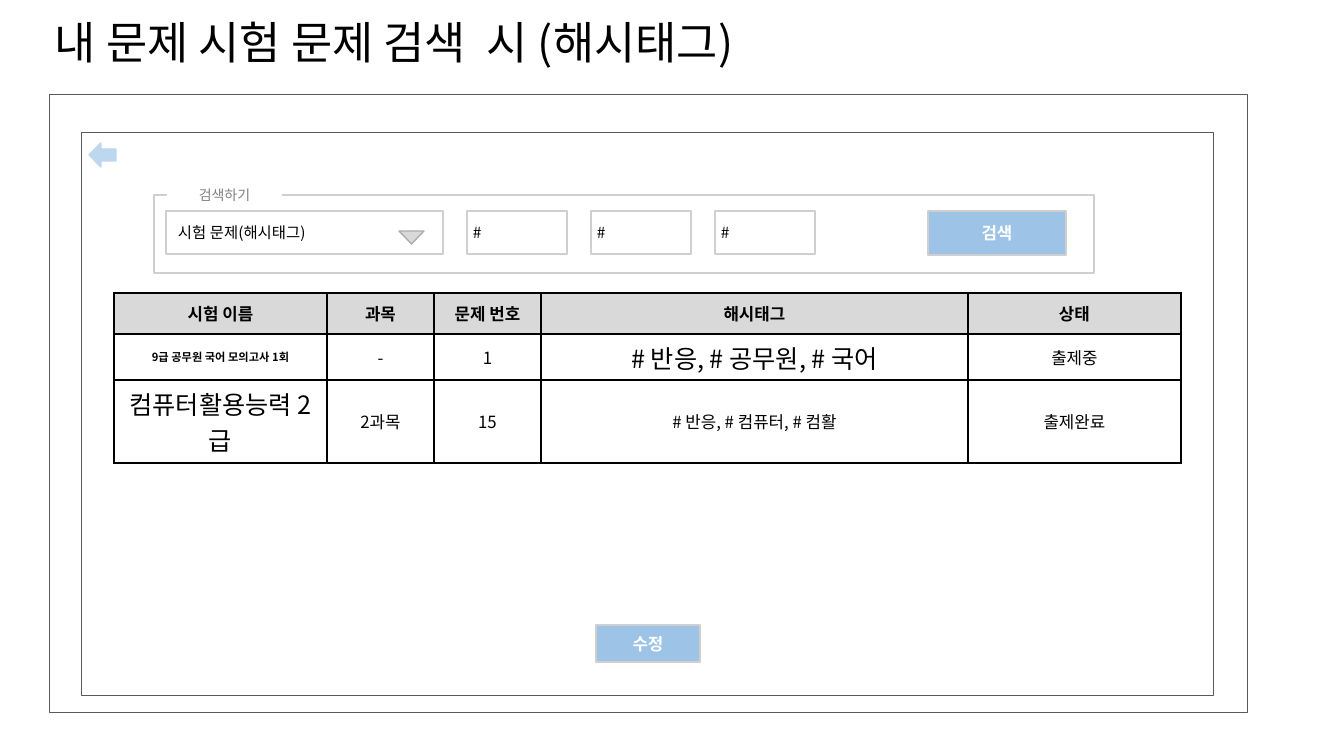
"""Build the hashtag search screen for exam questions."""
from lxml import etree
from pptx import Presentation
from pptx.dml.color import RGBColor
from pptx.enum.shapes import MSO_SHAPE
from pptx.enum.text import MSO_ANCHOR, PP_ALIGN
from pptx.oxml.ns import qn
from pptx.util import Pt

PX = 9071.43
FONT = "Noto Sans CJK KR"
RECT, LEFT_ARROW = MSO_SHAPE.RECTANGLE, MSO_SHAPE.LEFT_ARROW
TRIANGLE = MSO_SHAPE.ISOSCELES_TRIANGLE
LEFT, CENTER, MIDDLE = PP_ALIGN.LEFT, PP_ALIGN.CENTER, MSO_ANCHOR.MIDDLE
BLACK = RGBColor(0x00, 0x00, 0x00)
WHITE = RGBColor(0xFF, 0xFF, 0xFF)
FRAME_GRAY = RGBColor(0x59, 0x59, 0x59)
LABEL_GRAY = RGBColor(0x80, 0x80, 0x80)
MARK_GRAY = RGBColor(0xAF, 0xAB, 0xAB)
FIELD_GRAY = RGBColor(0xD0, 0xCE, 0xCE)
HEADER_GRAY = RGBColor(0xD9, 0xD9, 0xD9)
BUTTON_BLUE = RGBColor(0x9D, 0xC3, 0xE6)
ARROW_BLUE = RGBColor(0xBD, 0xD7, 0xEE)


def px(length):
    return round(length * PX)


def write(para, text, size, color=BLACK, bold=False, align=CENTER):
    para.text = text
    para.alignment = align
    font = para.font
    font.size, font.bold, font.name = Pt(size), bold, FONT
    font.color.rgb = color
    defaults = para._p.pPr.find(qn("a:defRPr"))
    etree.SubElement(defaults, qn("a:ea")).set("typeface", FONT)


deck = Presentation()
deck.slide_width, deck.slide_height = px(1344), px(756)
page = deck.slides.add_slide(deck.slide_layouts[6])

title = page.shapes.add_textbox(px(50), px(8), px(943), px(74)).text_frame
title.word_wrap = True
title.vertical_anchor = MIDDLE
title.margin_left = title.margin_right = px(5)
title.margin_top = title.margin_bottom = px(5)
write(title.paragraphs[0], "내 문제 시험 문제 검색  시 (해시태그)", 32, align=LEFT)
title.paragraphs[0].line_spacing = 0.9

shapes = [
    (RECT, 49, 94, 1198, 618, None, FRAME_GRAY, 0.25),
    (RECT, 81, 132, 1132, 563, None, FRAME_GRAY, 0.25),
    (LEFT_ARROW, 89, 143, 27, 24, ARROW_BLUE, ARROW_BLUE, 1),
    (RECT, 154, 195, 940, 78, WHITE, FIELD_GRAY, 1),
    (RECT, 167, 179, 115, 32, WHITE, None, 0),
    (RECT, 166, 211, 277, 43, WHITE, FIELD_GRAY, 1),
    (TRIANGLE, 399, 231, 25, 13, HEADER_GRAY, MARK_GRAY, 1),
    *[(RECT, 467 + 124 * i, 211, 100, 43, WHITE, FIELD_GRAY, 1) for i in range(3)],
    (RECT, 928, 211, 138, 44, BUTTON_BLUE, FIELD_GRAY, 1),
    (RECT, 596, 625, 104, 37, BUTTON_BLUE, FIELD_GRAY, 1),
]
labels = {
    4: ("검색하기", 10, LABEL_GRAY, False, CENTER, 5),
    5: ("시험 문제(해시태그)", 11, BLACK, False, LEFT, 12),
    **{i: ("#", 11, BLACK, False, LEFT, 6) for i in (7, 8, 9)},
    10: ("검색", 12, WHITE, True, CENTER, 5),
    11: ("수정", 12, WHITE, True, CENTER, 5),
}
for index, (kind, x, y, width, height, fill, line, weight) in enumerate(shapes):
    box = page.shapes.add_shape(kind, px(x), px(y), px(width), px(height))
    box.shadow.inherit = False
    if fill is None:
        box.fill.background()
    else:
        box.fill.solid()
        box.fill.fore_color.rgb = fill
    if line is None:
        box.line.fill.background()
    else:
        box.line.color.rgb = line
        box.line.width = Pt(weight)
    if kind == TRIANGLE:
        box.rotation = 180
    if index in labels:
        *style, margin = labels[index]
        frame = box.text_frame
        frame.vertical_anchor = MIDDLE
        frame.margin_left = frame.margin_right = px(margin)
        frame.margin_top = frame.margin_bottom = px(5)
        write(frame.paragraphs[0], *style)

rows = [
    ["시험 이름", "과목", "문제 번호", "해시태그", "상태"],
    ["9급 공무원 국어 모의고사 1회", "-", "1", "# 반응, # 공무원, # 국어", "출제중"],
    ["컴퓨터활용능력 2급", "2과목", "15", "# 반응, # 컴퓨터, # 컴활", "출제완료"],
]
sizes = {(1, 0): 8, (1, 3): 18, (2, 0): 18}
columns = [213, 107, 107, 427, 213]
heights = [41, 46, 83]
table = page.shapes.add_table(
    3, 5, px(114), px(293), px(sum(columns)), px(sum(heights))).table
table.first_row = table.horz_banding = False
for column, width in zip(table.columns, columns):
    column.width = px(width)
for r, row in enumerate(rows):
    table.rows[r].height = px(heights[r])
    for c, text in enumerate(row):
        cell = table.cell(r, c)
        cell.vertical_anchor = MIDDLE
        cell.margin_left = cell.margin_right = px(5)
        cell.margin_top = cell.margin_bottom = px(5)
        bold = r == 0 or (r, c) == (1, 0)
        write(cell.text_frame.paragraphs[0], text, sizes.get((r, c), 12), bold=bold)
        properties = cell._tc.get_or_add_tcPr()
        for side in ("a:lnL", "a:lnR", "a:lnT", "a:lnB"):
            border = etree.SubElement(properties, qn(side), w=str(Pt(1)))
            paint = etree.SubElement(border, qn("a:solidFill"))
            etree.SubElement(paint, qn("a:srgbClr"), val=str(BLACK))
        cell.fill.solid()
        cell.fill.fore_color.rgb = HEADER_GRAY if r == 0 else WHITE

deck.save("out.pptx")
